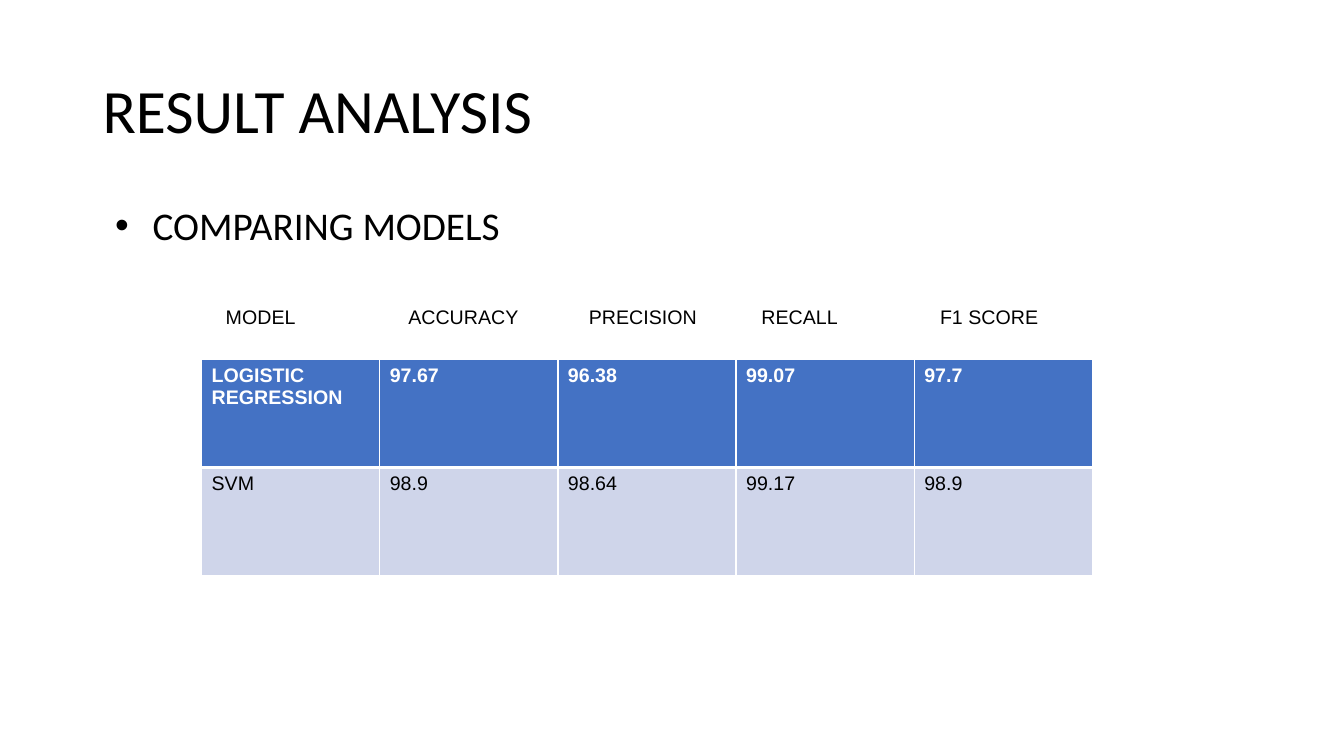
"""Build the result analysis slide with its model comparison table."""
from lxml import etree
from pptx import Presentation
from pptx.dml.color import RGBColor
from pptx.enum import text
from pptx.oxml.ns import qn
from pptx.util import Cm, Pt


def style(para, name, size, color, bold=False):
    para.alignment = text.PP_ALIGN.LEFT
    para.font.name = name
    para.font.size = Pt(size)
    para.font.bold = bold
    para.font.color.rgb = RGBColor.from_string(color)


def add_border(cell, side, width):
    line = etree.SubElement(cell._tc.get_or_add_tcPr(), qn(f"a:ln{side}"), w=str(Pt(width)))
    fill = etree.SubElement(line, qn("a:solidFill"))
    etree.SubElement(fill, qn("a:srgbClr"), val="FFFFFF")


deck = Presentation()
deck.slide_width, deck.slide_height = Cm(33.87), Cm(19.05)
page = deck.slides.add_slide(deck.slide_layouts[5])

title = page.shapes.title
title.left, title.top, title.width, title.height = Cm(2.33), Cm(1.01), Cm(29.21), Cm(3.68)
title.text_frame.text = "RESULT ANALYSIS"
title.text_frame.auto_size = text.MSO_AUTO_SIZE.NONE
title.text_frame.vertical_anchor = text.MSO_ANCHOR.MIDDLE
para = title.text_frame.paragraphs[0]
para.line_spacing = 0.9
style(para, "Calibri", 44, "000000")

body = page.shapes.add_textbox(Cm(2.33), Cm(5.07), Cm(29.21), Cm(10.57))
body.text_frame.word_wrap = True
para = body.text_frame.paragraphs[0]
para.text = "COMPARING MODELS"
para.line_spacing = 0.9
para.space_before = Pt(10)
style(para, "Calibri", 28, "000000")
properties = para._p.get_or_add_pPr()
properties.set("marL", str(Cm(1.27)))
properties.set("indent", str(Cm(-0.95)))
etree.SubElement(properties, qn("a:buFont"), typeface="Arial")
etree.SubElement(properties, qn("a:buChar"), char="•")
properties.append(properties.find(qn("a:defRPr")))

results = [
    ["LOGISTIC REGRESSION", "97.67", "96.38", "99.07", "97.7"],
    ["SVM", "98.9", "98.64", "99.17", "98.9"],
]
row_styles = [("4472C4", "FFFFFF", True, 3), ("CFD5EA", "000000", False, 1)]
table = page.shapes.add_table(2, 5, Cm(5.08), Cm(9.05), Cm(22.45), Cm(5.46)).table
for row, (values, (fill, color, bold, bottom)) in enumerate(zip(results, row_styles)):
    for column, value in enumerate(values):
        cell = table.cell(row, column)
        cell.text = value
        style(cell.text_frame.paragraphs[0], "Arial", 14, color, bold)
        top = 3 if row else 1
        for side, width in zip("LRTB", (1, 1, top, bottom)):
            add_border(cell, side, width)
        cell.fill.solid()
        cell.fill.fore_color.rgb = RGBColor.from_string(fill)

headings = page.shapes.add_textbox(Cm(5.44), Cm(7.57), Cm(22.1), Cm(0.86))
headings.text_frame.word_wrap = True
para = headings.text_frame.paragraphs[0]
para.text = "\t".join(["MODEL", "ACCURACY", "PRECISION", "RECALL", "F1 SCORE"])
style(para, "Arial", 14, "000000")
properties = para._p.get_or_add_pPr()
tabs = etree.SubElement(properties, qn("a:tabLst"))
for stop in (4.6, 9.15, 13.5, 18):
    etree.SubElement(tabs, qn("a:tab"), pos=str(Cm(stop)), algn="l")
properties.append(properties.find(qn("a:defRPr")))

deck.save("out.pptx")
